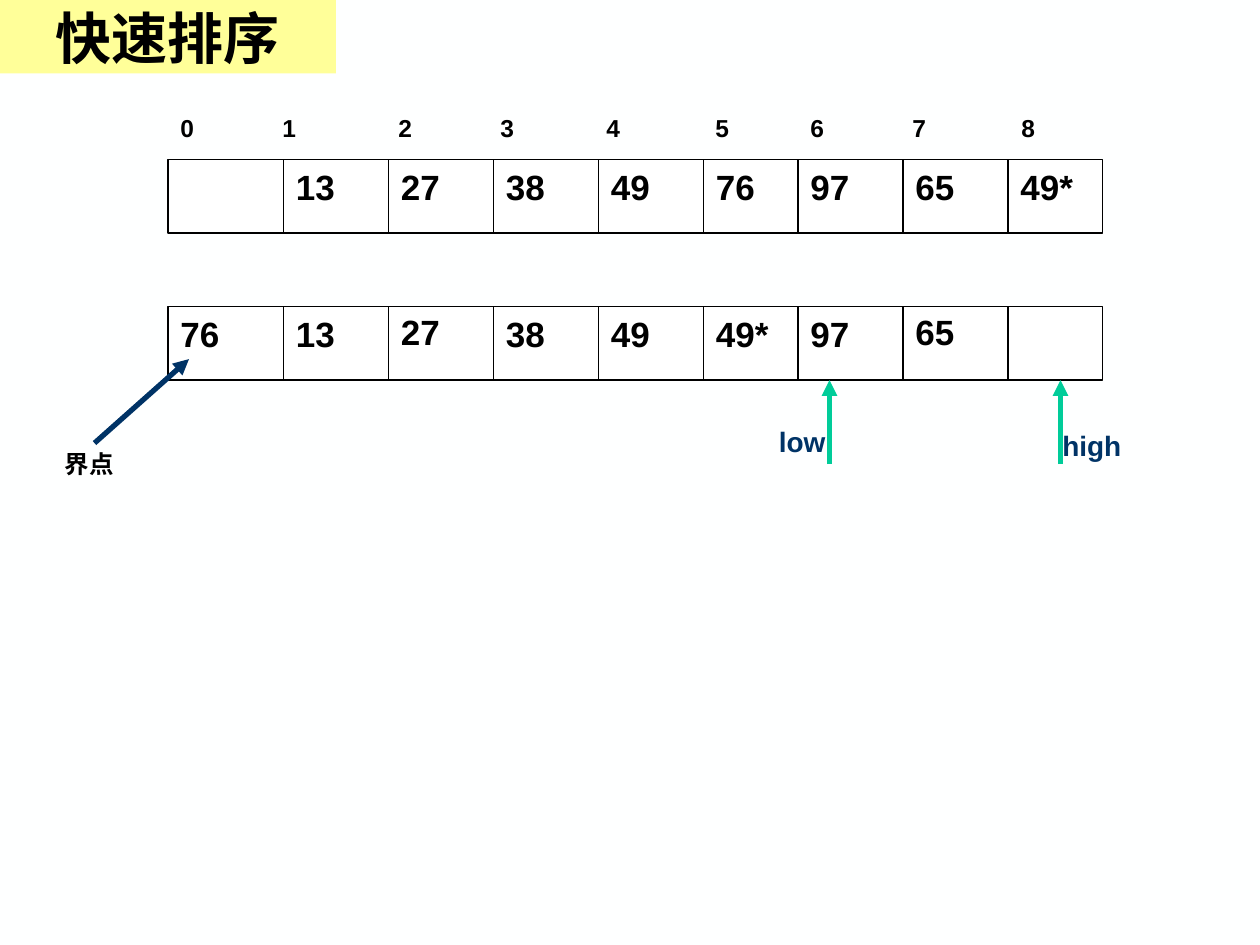
import pptx
import pptx.util
import pptx.dml.color
import pptx.enum.shapes
import pptx.enum.text
import pptx.oxml.ns
from lxml import etree

Pt = pptx.util.Pt
COLORS = {
    "background": "FEFFFF",
    "cell": "FFFFFF",
    "ink": "000000",
    "navy": "003366",
    "green": "00CC99",
    "title": "FFFF99",
}
# Cell borders from left to right, and the height of a row
EDGES = [96, 162, 222, 282, 342, 402, 456, 516, 576, 630]
CELL_HEIGHT = 42
TOP_ROW, BOTTOM_ROW = 91.2, 175.2
# Tab stops of the index numbers, from the left of their text
INDEX_TABS = [58.3, 124.6, 182.9, 243.4, 305.7, 360, 418.3, 480.6]


def rgb(name):
    return pptx.dml.color.RGBColor.from_string(COLORS[name])


def add_tabs(p, stops):
    tabs = etree.SubElement(p._p.get_or_add_pPr(), pptx.oxml.ns.qn("a:tabLst"))
    for stop in stops:
        etree.SubElement(tabs, pptx.oxml.ns.qn("a:tab"), pos=str(Pt(stop)), algn="l")


def style_text(tf, text, size, color="ink", font="Arial", tabs=()):
    p = tf.paragraphs[0]
    p.text = text
    if tabs:
        add_tabs(p, tabs)
    for r in p.runs:
        r.font.name = font
        r.font.size = Pt(size)
        r.font.bold = True
        r.font.color.rgb = rgb(color)


def add_text(shapes, text, x, y, w, h, size, color="ink", tabs=()):
    tf = shapes.add_textbox(Pt(x), Pt(y), Pt(w), Pt(h)).text_frame
    tf.word_wrap = True
    tf.auto_size = pptx.enum.text.MSO_AUTO_SIZE.SHAPE_TO_FIT_TEXT
    style_text(tf, text, size, color, tabs=tabs)


def add_rect(shapes, x, y, w, h, fill):
    sp = shapes.add_shape(pptx.enum.shapes.MSO_SHAPE.RECTANGLE,
                          Pt(x), Pt(y), Pt(w), Pt(h))
    sp.shadow.inherit = False
    sp.fill.solid()
    sp.fill.fore_color.rgb = rgb(fill)
    sp.line.fill.background()
    return sp


def add_line(shapes, x1, y1, x2, y2, color="ink", width=0.75, arrow=False):
    line = shapes.add_connector(pptx.enum.shapes.MSO_CONNECTOR.STRAIGHT,
                                Pt(x1), Pt(y1), Pt(x2), Pt(y2))
    line.line.color.rgb = rgb(color)
    line.line.width = Pt(width)
    if arrow:
        etree.SubElement(line.line._get_or_add_ln(),
                         pptx.oxml.ns.qn("a:tailEnd"), type="triangle")
    etree.SubElement(line._element.spPr, pptx.oxml.ns.qn("a:effectLst"))


def add_row(s, y, values, raised=()):
    # Frame and dividers
    shapes = s.shapes.add_group_shape().shapes
    frame = add_rect(shapes, EDGES[0], y, EDGES[-1] - EDGES[0], CELL_HEIGHT, "cell")
    frame.line.color.rgb = rgb("ink")
    frame.line.width = Pt(0.75)
    for x in EDGES[1:-1]:
        add_line(shapes, x, y, x, y + CELL_HEIGHT)
    # Values, some of them set slightly higher
    for i, (x, value) in enumerate(zip(EDGES, values)):
        if value:
            add_text(s.shapes, value, x, y - 1.5 * (i in raised), 48, 32, 20)


def add_marker(s, text, x, text_x, text_y):
    shapes = s.shapes.add_group_shape().shapes
    bottom = BOTTOM_ROW + CELL_HEIGHT
    add_line(shapes, x, bottom + 48, x, bottom, "green", 3, arrow=True)
    add_text(shapes, text, text_x, text_y, 66, 26.6, 16, "navy")


def add_title(s, text):
    sp = add_rect(s.shapes, 0, 0, 192, 42, "title")
    tf = sp.text_frame
    tf.vertical_anchor = pptx.enum.text.MSO_ANCHOR.MIDDLE
    style_text(tf, text, 32, font="Times New Roman")
    tf.paragraphs[0].alignment = pptx.enum.text.PP_ALIGN.CENTER


def main():
    prs = pptx.Presentation()
    prs.slide_width, prs.slide_height = Pt(720), Pt(540)
    s = prs.slides.add_slide(prs.slide_layouts[6])
    s.background.fill.solid()
    s.background.fill.fore_color.rgb = rgb("background")

    # Array before and after the step
    add_row(s, BOTTOM_ROW, ["76", "13", "27", "38", "49", "49*", "97", "65", ""],
            raised=(2, 7))
    add_row(s, TOP_ROW, ["", "13", "27", "38", "49", "76", "97", "65", "49*"])
    add_text(s.shapes, "\t".join(str(i) for i in range(9)),
             EDGES[0], 61.2, 534, 24.5, 14, tabs=INDEX_TABS)

    # Scan positions
    add_marker(s, "high", 606, 600, 241.2)
    add_marker(s, "low", 474, 438, 239)

    # Pivot
    add_text(s.shapes, "界点", 30, 253.2, 60, 24.5, 14)
    add_line(s.shapes, 54, 253.2, 108, 205.2, "navy", 3, arrow=True)

    add_title(s, "快速排序")
    prs.save("out.pptx")


if __name__ == "__main__":
    main()
